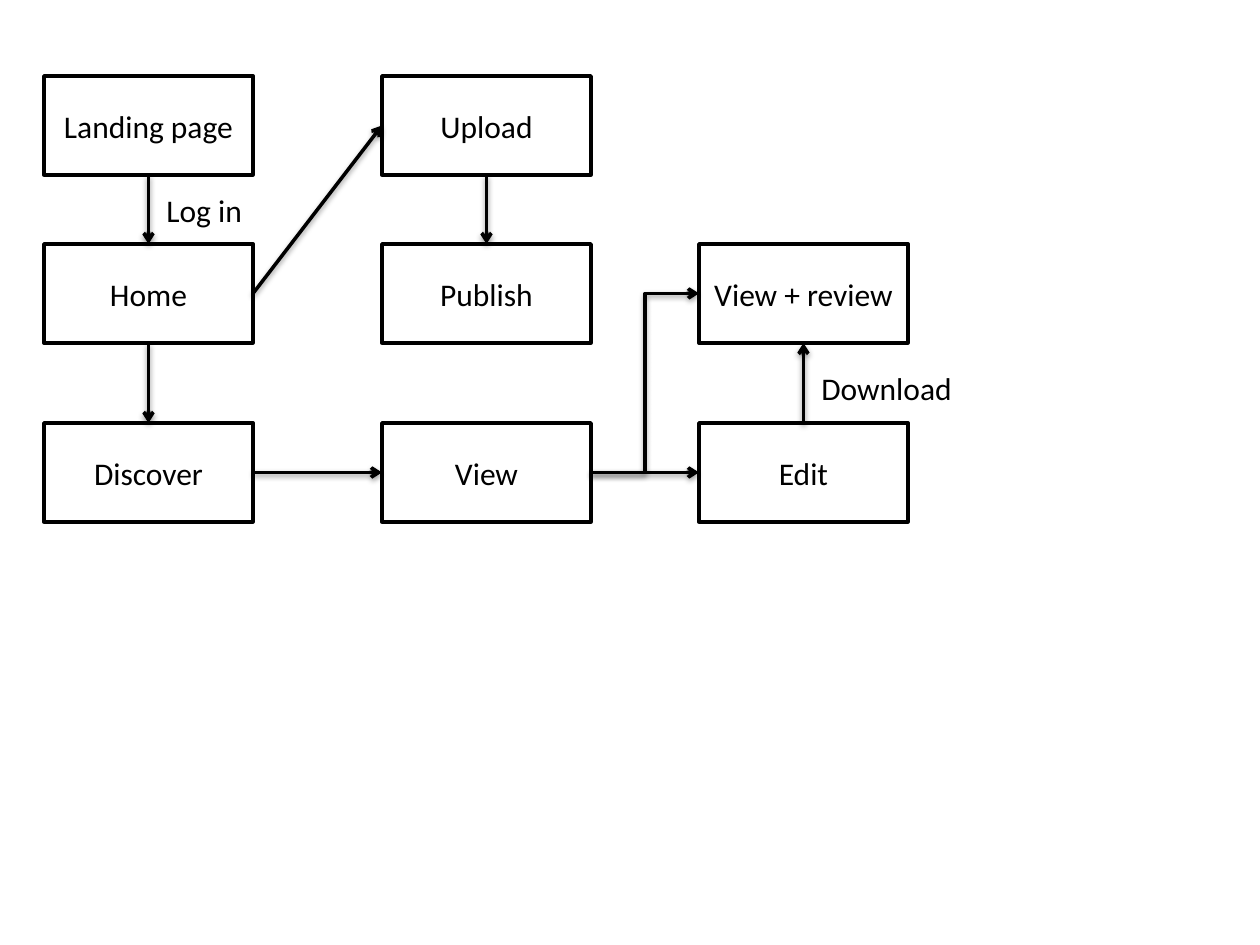
from lxml import etree
from pptx import Presentation
from pptx.dml.color import RGBColor
from pptx.enum.shapes import MSO_CONNECTOR, MSO_SHAPE
from pptx.enum.text import MSO_ANCHOR, MSO_AUTO_SIZE, PP_ALIGN
from pptx.oxml import parse_xml
from pptx.oxml.ns import nsdecls, qn
from pptx.util import Emu, Pt

COLORS = {"ink": "000000", "paper": "FFFFFF"}
FONT = "Calibri"
BOX_W, BOX_H = 209, 99
COLUMNS = (0, 338, 655)
ROWS = (0, 168, 347)
TOP, LEFT, BOTTOM, RIGHT = range(4)  # connection sites of a rectangle

# name: (column, row)
STEPS = {
    "Landing page": (0, 0), "Home": (0, 1), "Discover": (0, 2),
    "Upload": (1, 0), "Publish": (1, 1), "View": (1, 2),
    "View + review": (2, 1), "Edit": (2, 2),
}
STRAIGHT, ELBOW = MSO_CONNECTOR.STRAIGHT, MSO_CONNECTOR.ELBOW
FLOWS = [
    ("Landing page", BOTTOM, "Home", TOP, STRAIGHT),
    ("Home", RIGHT, "Upload", LEFT, STRAIGHT),
    ("Upload", BOTTOM, "Publish", TOP, STRAIGHT),
    ("Home", BOTTOM, "Discover", TOP, STRAIGHT),
    ("Discover", RIGHT, "View", LEFT, STRAIGHT),
    ("View", RIGHT, "Edit", LEFT, STRAIGHT),
    ("Edit", TOP, "View + review", BOTTOM, STRAIGHT),
    ("View", RIGHT, "View + review", LEFT, ELBOW),
]
# text, left, top, width
LABELS = [("Log in", 110, 109, 139), ("Download", 765, 287, 248)]
LABEL_H = 50


def px(n):
    return Emu(round(n * 914400 / 126))


def color(name):
    return RGBColor.from_string(COLORS[name])


def write(shape, text, align):
    paragraph = shape.text_frame.paragraphs[0]
    paragraph.alignment = align
    run = paragraph.add_run()
    run.text = text
    run.font.size, run.font.name = Pt(18), FONT
    run.font.color.rgb = color("ink")


def draw_line(line):
    line.color.rgb = color("ink")
    line.width = Pt(2)


def add_step(slide, text, left, top):
    box = slide.shapes.add_shape(MSO_SHAPE.RECTANGLE, px(left), px(top), px(BOX_W), px(BOX_H))
    box.shadow.inherit = False
    box.fill.solid()
    box.fill.fore_color.rgb = color("paper")
    draw_line(box.line)
    box.text_frame.word_wrap = True
    box.text_frame.vertical_anchor = MSO_ANCHOR.MIDDLE
    write(box, text, PP_ALIGN.CENTER)
    return box


def add_flow(slide, start, start_site, end, end_site, kind):
    arrow = slide.shapes.add_connector(kind, 0, 0, 0, 0)
    arrow.begin_connect(start, start_site)
    arrow.end_connect(end, end_site)
    draw_line(arrow.line)
    properties = arrow.line._get_or_add_ln()
    etree.SubElement(properties, qn("a:tailEnd"), type="arrow")
    # Soft shadow below the line
    properties.getparent().append(parse_xml(
        f'<a:effectLst {nsdecls("a")}>'
        '<a:outerShdw blurRad="40000" dist="20000" dir="5400000" rotWithShape="0">'
        f'<a:srgbClr val="{COLORS["ink"]}"><a:alpha val="38000"/></a:srgbClr>'
        '</a:outerShdw></a:effectLst>'))


def add_label(slide, text, left, top, width):
    label = slide.shapes.add_textbox(px(left), px(top), px(width), px(LABEL_H))
    label.text_frame.word_wrap = True
    label.text_frame.auto_size = MSO_AUTO_SIZE.SHAPE_TO_FIT_TEXT
    write(label, text, PP_ALIGN.LEFT)


def add_flowchart(slide, left, top):
    # Steps
    steps = {name: add_step(slide, name, left + COLUMNS[column], top + ROWS[row])
             for name, (column, row) in STEPS.items()}
    # Arrows
    for start, start_site, end, end_site, kind in FLOWS:
        add_flow(slide, steps[start], start_site, steps[end], end_site, kind)
    # Arrow labels
    for text, x, y, width in LABELS:
        add_label(slide, text, left + x, top + y, width)


prs = Presentation()
prs.slide_width, prs.slide_height = px(1260), px(945)
site_map = prs.slides.add_slide(prs.slide_layouts[6])
add_flowchart(site_map, 44, 76)
prs.save("out.pptx")
